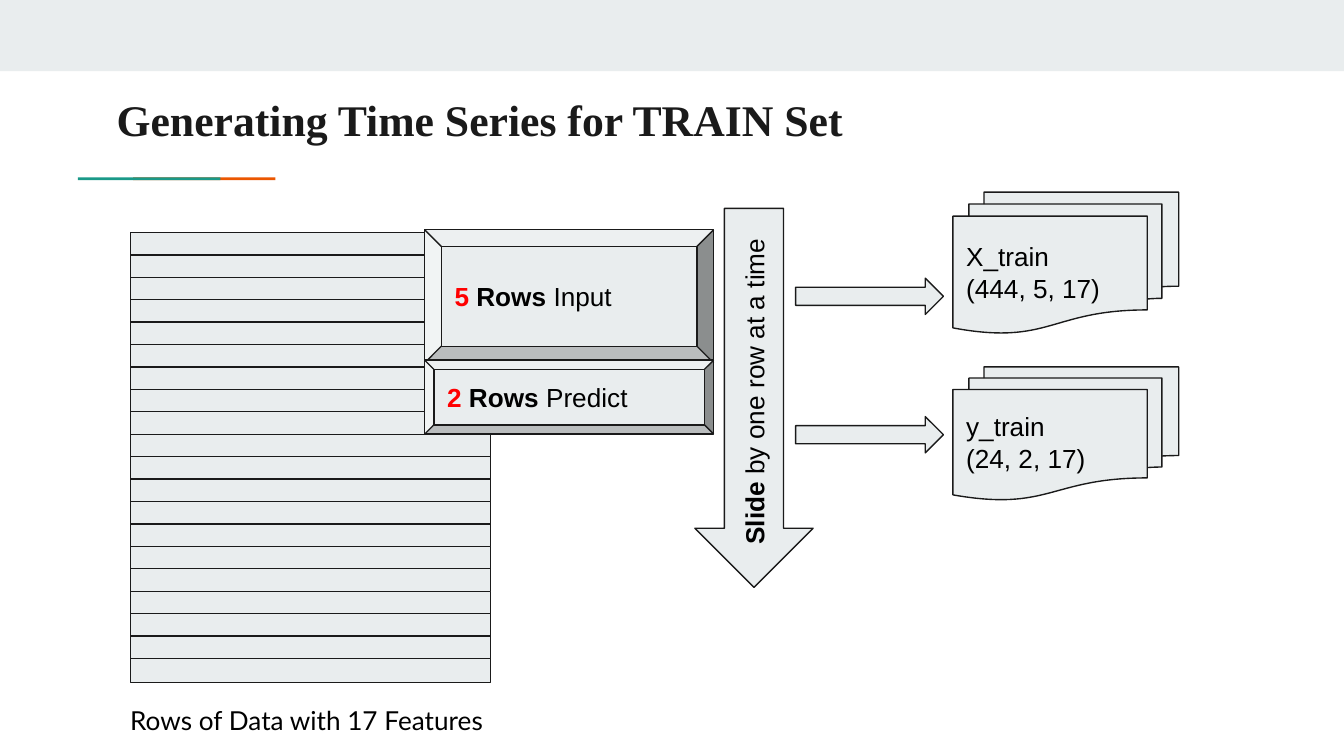
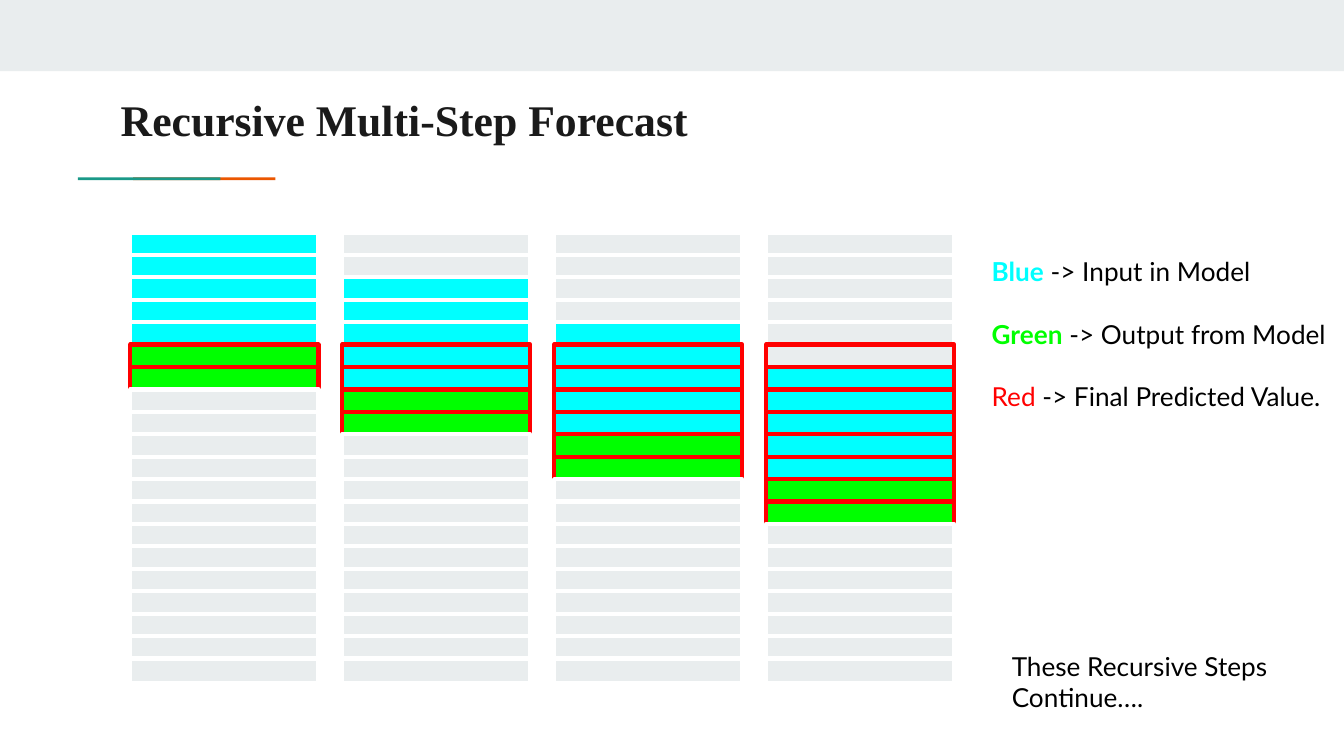
from pptx import Presentation
from pptx.dml.color import RGBColor
from pptx.enum.shapes import MSO_SHAPE
from pptx.enum.text import MSO_ANCHOR, PP_ALIGN
from pptx.util import Inches, Pt

GREY, DARK, WHITE, BLACK = "E9EDEE", "1A1A1A", "FFFFFF", "000000"
TEAL, ORANGE = "1A9988", "EB5600"
RED, BLUE, GREEN = "FF0000", "00FFFF", "00FF00"
ROWS, ROWS_LEFT, ROWS_TOP, ROW_PITCH = 20, 0.97, 1.73, 3.17 / 19
STEP_PITCH = 4.73 / 3


def add_box(s, kind, at, fill=GREY, line=DARK, width=0.75):
    sp = s.shapes.add_shape(kind, *[Inches(v) for v in at])
    sp.shadow.inherit = False
    sp.fill.solid()
    sp.fill.fore_color.rgb = RGBColor.from_string(fill)
    if line:
        sp.line.color.rgb = RGBColor.from_string(line)
        sp.line.width = Pt(width)
    else:
        sp.line.fill.background()
    return sp


def write(sp, paragraphs, font="Arial", size=14, anchor=MSO_ANCHOR.MIDDLE, gap=0):
    """Fill sp with paragraphs, each a list of (text, colour, bold) runs."""
    tf = sp.text_frame
    tf.word_wrap = True
    tf.vertical_anchor = anchor
    tf.margin_left = tf.margin_right = tf.margin_top = tf.margin_bottom = Inches(0.1)
    for i, runs in enumerate(paragraphs):
        p = tf.add_paragraph() if i else tf.paragraphs[0]
        p.alignment = PP_ALIGN.LEFT
        p.space_before = Pt(gap if i else 0)
        p.font.name, p.font.size = font, Pt(size)
        for text, colour, bold in runs:
            r = p.add_run()
            r.text = text
            r.font.bold = bold
            r.font.color.rgb = RGBColor.from_string(colour)


prs = Presentation()
prs.slide_width = Inches(10)
prs.slide_height = prs.slide_width * 9 // 16

# Band, accent line and title of both slides
slides = []
for title, left, width in [("Generating Time Series for TRAIN Set", 0.77, 9.13),
                           ("Recursive Multi-Step Forecast", 0.8, 8.41)]:
    s = prs.slides.add_slide(prs.slide_layouts[6])
    add_box(s, MSO_SHAPE.RECTANGLE, (0, 0, 10, 0.53), line=None)
    for x, colour in [(0.99, ORANGE), (0.58, TEAL)]:
        add_box(s, MSO_SHAPE.RECTANGLE, (x, 1.32, 1.06, 0.02), colour, None)
    tb = s.shapes.add_textbox(Inches(left), Inches(0.59), Inches(width), Inches(0.59))
    write(tb, [[(title, DARK, True)]], "Times New Roman", 23.4, MSO_ANCHOR.TOP)
    slides.append(s)
train, forecast = slides

# Slide 1: data rows, sliding window and resulting arrays
for row in range(ROWS):
    height = 0.27 if row < ROWS - 1 else 0.18
    add_box(train, MSO_SHAPE.RECTANGLE,
            (ROWS_LEFT, ROWS_TOP + row * ROW_PITCH, 2.68, height))

for count, role, top, height in [("5", " Input", 1.71, 0.99), ("2", " Predict", 2.68, 0.55)]:
    sp = add_box(train, MSO_SHAPE.BEVEL, (3.16, top, 2.15, height))
    write(sp, [[(count, RED, True), (" Rows", BLACK, True), (role, BLACK, False)]])

tb = train.shapes.add_textbox(Inches(0.87), Inches(5.14), Inches(2.88), Inches(0.44))
write(tb, [[("Rows of Data with 17 Features", BLACK, False)]], "Lato", anchor=MSO_ANCHOR.TOP)

sp = add_box(train, MSO_SHAPE.LEFT_ARROW, (4.2, 2.52, 2.82, 0.88))
sp.rotation = 270
write(sp, [[("Slide", BLACK, True), (" by one row at a time", BLACK, False)]])

for arrow_top in (2.07, 3.1):
    add_box(train, MSO_SHAPE.RIGHT_ARROW, (5.92, arrow_top, 1.1, 0.27))

for name, dims, top, height in [("X_train", "(444, 5, 17)", 1.43, 1.05),
                                ("y_train", "(24, 2, 17)", 2.73, 0.99)]:
    sp = add_box(train, MSO_SHAPE.FLOWCHART_MULTIDOCUMENT, (7.09, top, 1.68, height))
    write(sp, [[(name, BLACK, False)], [(dims, BLACK, False)]])

# Slide 2: each step moves the window two rows down
for step in range(4):
    first_input = 2 * step
    first_output = first_input + 5
    end = first_output + 2
    for row in range(ROWS):
        if first_input <= row < first_output:
            fill = BLUE
        elif first_output <= row < end:
            fill = GREEN
        else:
            fill = GREY
        # The first step's window is the only one without earlier predictions
        line = RED if 5 <= row < end else WHITE
        height = 0.27 if row < ROWS - 1 else 0.18
        add_box(forecast, MSO_SHAPE.RECTANGLE,
                (ROWS_LEFT + step * STEP_PITCH, ROWS_TOP + row * ROW_PITCH, 1.4, height),
                fill, line, 2.25)

tb = forecast.shapes.add_textbox(Inches(7.28), Inches(1.8), Inches(2.72), Inches(1.38))
write(tb, [[("Blue", BLUE, True), (" -> Input in Model", BLACK, False)],
           [("Green", GREEN, True), (" -> Output from Model", BLACK, False)],
           [("Red", RED, False), (" -> Final Predicted Value.", BLACK, False)]],
      "Lato", anchor=MSO_ANCHOR.TOP, gap=16.8)

tb = forecast.shapes.add_textbox(Inches(7.43), Inches(4.74), Inches(2.3), Inches(0.67))
write(tb, [[("These Recursive Steps Continue….", BLACK, False)]], "Lato", anchor=MSO_ANCHOR.TOP)

prs.save("out.pptx")
